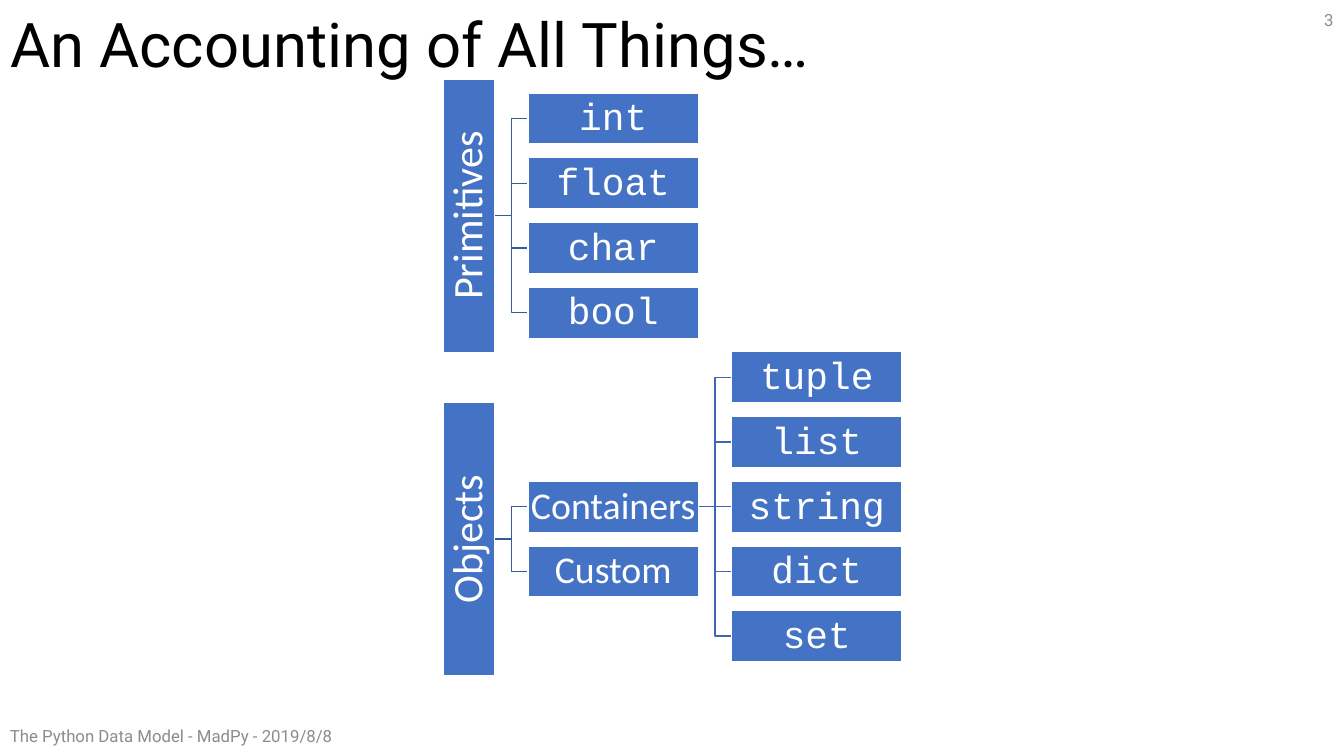
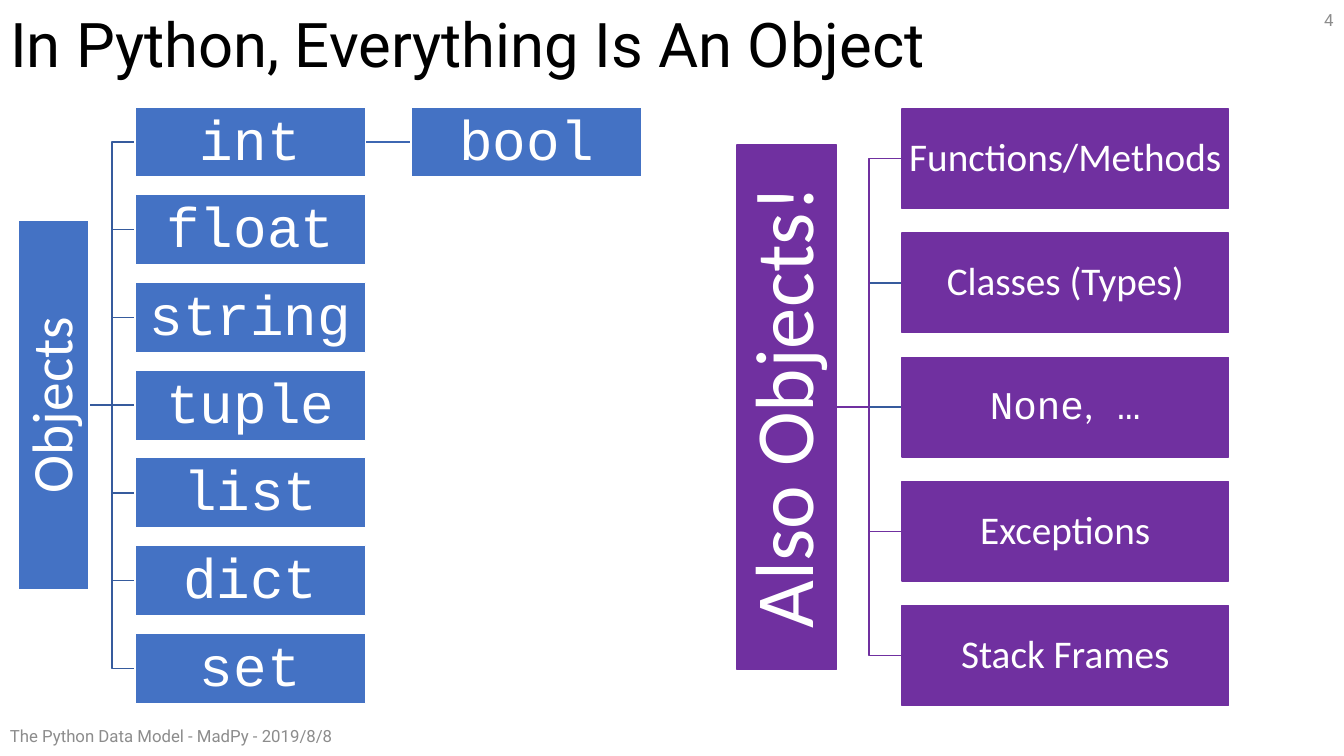
from lxml.etree import SubElement
from pptx import Presentation
from pptx.dml.color import RGBColor
from pptx.enum.shapes import MSO_CONNECTOR, MSO_SHAPE
from pptx.enum.text import MSO_ANCHOR, MSO_AUTO_SIZE, PP_ALIGN
from pptx.oxml.ns import qn
from pptx.util import Cm, Pt

# Shared look
BLACK = RGBColor(0x00, 0x00, 0x00)
WHITE = RGBColor(0xFF, 0xFF, 0xFF)
GREY = RGBColor(0x8C, 0x8C, 0x8C)
BLUE = RGBColor(0x44, 0x72, 0xC4)
DARK_BLUE = RGBColor(0x36, 0x5B, 0x9D)
MID_BLUE = RGBColor(0x3E, 0x67, 0xB2)
PURPLE = RGBColor(0x70, 0x30, 0xA0)
HEAD_FONT, BODY_FONT, CODE_FONT = "Roboto", "Calibri", "Courier New"
FOOTER = "The Python Data Model - MadPy - 2019/8/8"
FIRST_NUMBER = 3

# Content: a node is (label, children); backticks enclose code
PRIMITIVES = ("Primitives", [("`int`", []), ("`float`", []), ("`char`", []), ("`bool`", [])])
CONTAINERS = ("Containers", [("`tuple`", []), ("`list`", []), ("`string`", []),
                             ("`dict`", []), ("`set`", [])])
OBJECTS = ("Objects", [CONTAINERS, ("Custom", [])])
PY_OBJECTS = ("Objects", [("`int`", [("`bool`", [])]), ("`float`", []), ("`string`", []),
                          ("`tuple`", []), ("`list`", []), ("`dict`", []), ("`set`", [])])
ALSO_OBJECTS = ("Also Objects!", [("Functions/Methods", []), ("Classes (Types)", []),
                                  ("`None`,` …`", []), ("Exceptions", []),
                                  ("Stack Frames", [])])

# Tree formats: lengths in cm, text sizes in points, one column and link list per level
SMALL = dict(cols=[11.17, 13.31, 18.44], top=2.99, pitch=1.63, thick=1.29,
             root_h=6.89, node_w=4.29, root_size=30, size=27, inset=0.05,
             fill=BLUE, line=WHITE, links=[[DARK_BLUE], [MID_BLUE]])
LARGE = dict(cols=[0.47, 3.4, 10.36], top=3.58, pitch=2.21, thick=1.77,
             root_h=9.32, node_w=5.82, root_size=41, size=40, inset=0.07,
             fill=BLUE, line=WHITE, links=[[DARK_BLUE], [MID_BLUE]])
VIOLET = dict(cols=[18.57, 22.73], top=4.0, pitch=3.13, thick=2.51,
              root_h=13.21, node_w=8.23, root_size=59, size=28, inset=0.05,
              fill=PURPLE, line=PURPLE,
              links=[[PURPLE, DARK_BLUE, DARK_BLUE, PURPLE, PURPLE]])

# Slides: title and trees, each with the row its root is centred on
SLIDES = [
    ("An Accounting of All Things…", [(PRIMITIVES, 1.5, SMALL), (OBJECTS, 6.5, SMALL)]),
    ("In Python, Everything Is An Object", [(PY_OBJECTS, 3, LARGE), (ALSO_OBJECTS, 2, VIOLET)]),
]


def set_all(obj, **values):
    for name, value in values.items():
        setattr(obj, name, value)


def add_run(p, text, font, size, color):
    r = p.add_run()
    r.text = text
    set_all(r.font, name=font, size=Pt(size))
    r.font.color.rgb = color


def add_label(s, text, box, align):
    tf = s.shapes.add_textbox(*map(Cm, box)).text_frame
    set_all(tf, word_wrap=True, vertical_anchor=MSO_ANCHOR.MIDDLE)
    tf.paragraphs[0].alignment = align
    add_run(tf.paragraphs[0], text, HEAD_FONT, 12, GREY)


def add_base(prs, title, number):
    s = prs.slides.add_slide(prs.slide_layouts[5])
    set_all(s.shapes.title, left=Cm(0), top=Cm(0), width=Cm(32.74), height=Cm(2.39))
    tf = s.shapes.title.text_frame
    set_all(tf, word_wrap=True, auto_size=MSO_AUTO_SIZE.NONE, vertical_anchor=MSO_ANCHOR.MIDDLE)
    p = tf.paragraphs[0]
    set_all(p, alignment=PP_ALIGN.LEFT, line_spacing=0.9)
    add_run(p, title, HEAD_FONT, 44, BLACK)
    add_label(s, FOOTER, (0, 18.03, 11.43, 1.02), PP_ALIGN.LEFT)
    add_label(s, str(number), (32.74, 0, 1.12, 1.02), PP_ALIGN.RIGHT)
    return s


def add_node(s, label, row, level, fmt):
    is_root = level == 0
    w, h = (fmt["thick"], fmt["root_h"]) if is_root else (fmt["node_w"], fmt["thick"])
    y = fmt["top"] + row * fmt["pitch"] - h / 2
    sp = s.shapes.add_shape(MSO_SHAPE.RECTANGLE, Cm(fmt["cols"][level]), Cm(y), Cm(w), Cm(h))
    sp.shadow.inherit = False
    sp.fill.solid()
    sp.fill.fore_color.rgb = fmt["fill"]
    sp.line.color.rgb = fmt["line"]
    sp.line.width = Pt(1)
    tf = sp.text_frame
    set_all(tf, word_wrap=True, vertical_anchor=MSO_ANCHOR.MIDDLE)
    for side in ("left", "top", "right", "bottom"):
        setattr(tf, f"margin_{side}", Cm(fmt["inset"]))
    if is_root:  # text reads upwards
        tf._txBody.bodyPr.set("vert", "vert270")
    p = tf.paragraphs[0]
    set_all(p, alignment=PP_ALIGN.CENTER, line_spacing=0.9)
    for i, part in enumerate(label.split("`")):
        if part:
            add_run(p, part, CODE_FONT if i % 2 else BODY_FONT,
                    fmt["root_size" if is_root else "size"], WHITE)
    return sp


def add_link(s, parent, child, is_level, color):
    kind = MSO_CONNECTOR.STRAIGHT if is_level else MSO_CONNECTOR.ELBOW
    link = s.shapes.add_connector(kind, 0, 0, 0, 0)
    link.begin_connect(parent, 3)
    link.end_connect(child, 1)
    link.line.color.rgb = color
    link.line.width = Pt(1)
    SubElement(link.element.spPr, qn("a:effectLst"))
    link.element.getparent().insert(2, link.element)  # behind the boxes


def add_tree(s, node, row, fmt, level=0):
    label, children = node
    sp = add_node(s, label, row, level, fmt)
    first = row - (len(children) - 1) / 2  # children are centred on their parent
    for i, child in enumerate(children):
        child_sp = add_tree(s, child, first + i, fmt, level + 1)
        colors = fmt["links"][level]
        add_link(s, sp, child_sp, first + i == row, colors[i % len(colors)])
    return sp


def main():
    prs = Presentation()
    set_all(prs, slide_width=Cm(33.87), slide_height=Cm(19.05))
    for number, (title, trees) in enumerate(SLIDES, FIRST_NUMBER):
        s = add_base(prs, title, number)
        for root, row, fmt in trees:
            add_tree(s, root, row, fmt)
    prs.save("out.pptx")


if __name__ == "__main__":
    main()
